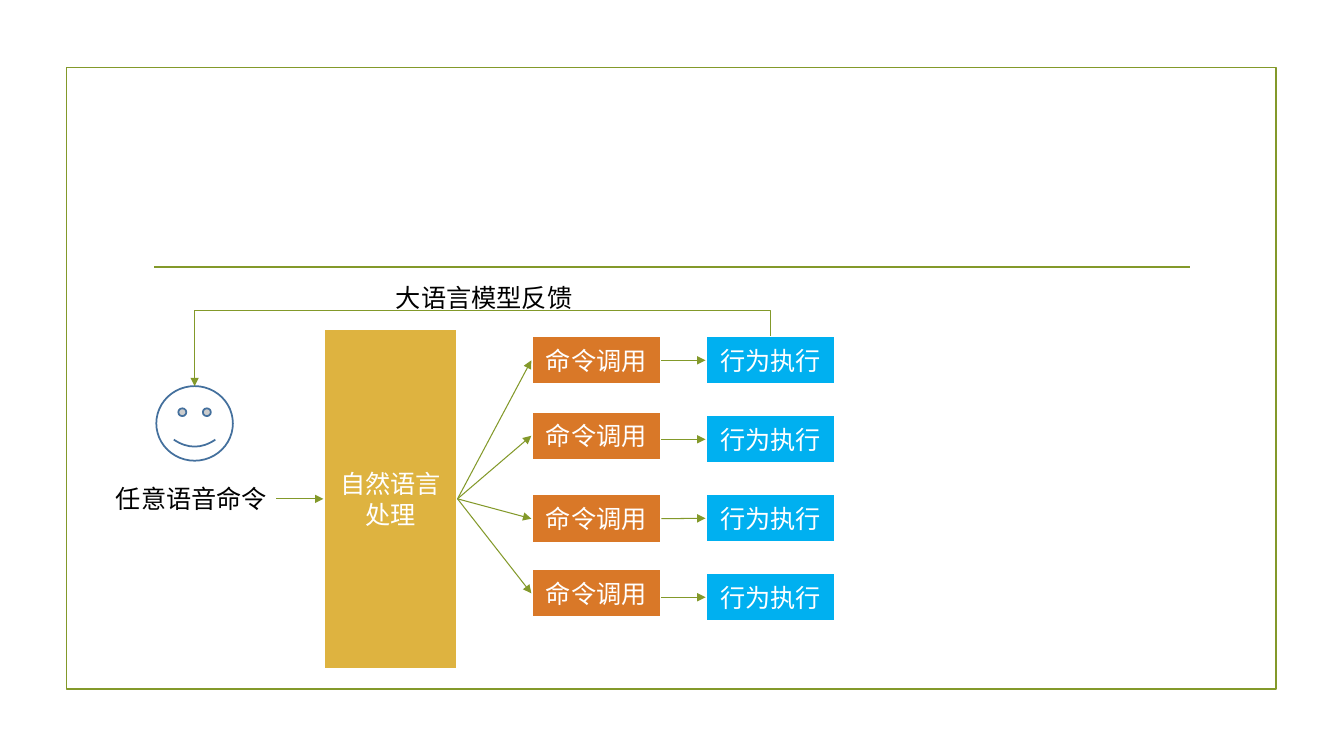
import pptx
import pptx.dml.color
import pptx.enum.shapes
import pptx.enum.text
import pptx.util
from pptx.oxml.ns import qn
from lxml import etree

Cm, Pt = pptx.util.Cm, pptx.util.Pt
KIND = pptx.enum.shapes.MSO_SHAPE
LINK = pptx.enum.shapes.MSO_CONNECTOR
ALIGN = pptx.enum.text.PP_ALIGN
FONT = "Times New Roman"
GREEN, GOLD, ORANGE, BLUE = "83992A", "DEB340", "D97828", "00B0F0"
WHITE, BLACK, NAVY = "FFFFFF", "000000", "44709D"
TOP, BOTTOM, LEFT, RIGHT = 0, 2, 1, 3

# Content: text, then left, top, width, height in centimetres
LABELS = [
    ("任意语音命令", (2.67, 12.06, 4.37, 1.02)),
    ("大语言模型反馈", (9.73, 6.98, 5, 1.02)),
]
PARSER = ("自然语言处理", (8.15, 8.28, 3.38, 8.58))
CALL, CALL_X, CALL_TOPS = "命令调用", 13.39, [8.46, 10.36, 12.45, 14.33]
ACT, ACT_X, ACT_TOP, ACT_STEP = "行为执行", 17.78, 8.46, 1.99
CELL_W, CELL_H = 3.28, 1.24
FRAME = (1.68, 1.7, 30.48, 15.67)
RULE = (3.89, 6.73, 30, 6.73)
FACE = (3.94, 9.73, 1.93, 1.88)
VOICE_X = 6.96
LOOP_Y = 7.82

deck = pptx.Presentation()
deck.slide_width, deck.slide_height = Cm(33.87), Cm(19.05)
slide = deck.slides.add_slide(deck.slide_layouts[6])


def color(code):
    return pptx.dml.color.RGBColor.from_string(code)


def write(shape, text, ink=BLACK, align=ALIGN.LEFT, wrap=True):
    frame = shape.text_frame
    frame.word_wrap = wrap
    par = frame.paragraphs[0]
    par.alignment = align
    run = par.add_run()
    run.text = text
    run.font.size, run.font.name = Pt(18), FONT
    run.font.color.rgb = color(ink)


def draw(kind, box, fill=None, line=WHITE, width=2, text=None):
    shape = slide.shapes.add_shape(kind, *map(Cm, box))
    shape.shadow.inherit = False
    if fill:
        shape.fill.solid()
        shape.fill.fore_color.rgb = color(fill)
    else:
        shape.fill.background()
    shape.line.color.rgb = color(line)
    shape.line.width = Pt(width)
    if text:
        shape.text_frame.vertical_anchor = pptx.enum.text.MSO_ANCHOR.MIDDLE
        write(shape, text, ink=WHITE, align=ALIGN.CENTER)
    return shape


def link(ends, kind=LINK.STRAIGHT, width=0.75, head=True):
    wire = slide.shapes.add_connector(kind, *map(Cm, ends))
    wire.line.color.rgb = color(GREEN)
    wire.line.width = Pt(width)
    if head:
        etree.SubElement(wire.line._ln, qn("a:tailEnd"), type="triangle")
    etree.SubElement(wire._element.spPr, qn("a:effectLst"))
    return wire


def loop(start, end, peak):
    """Draw an elbow that leaves start upwards, runs at peak and drops to end."""
    (x1, y1), (x2, y2) = start, end
    wide, tall = y2 - y1, x1 - x2
    left, top = (x1 + x2 - wide) / 2, (y1 + y2 - tall) / 2
    wire = link((left + wide, top + tall, left, top), kind=LINK.ELBOW)
    wire._element.spPr.find(qn("a:xfrm")).set("rot", str(270 * 60000))
    geom = wire._element.spPr.find(qn("a:prstGeom"))
    for old in list(geom):
        geom.remove(old)
    bend = round((peak - y1) / wide * 100000)
    guides = etree.SubElement(geom, qn("a:avLst"))
    etree.SubElement(guides, qn("a:gd"), name="adj1", fmla=f"val {bend}")


draw(KIND.RECTANGLE, FRAME, line=GREEN, width=1.25)
link(RULE, width=1.25, head=False)

name, box = PARSER
parser = draw(KIND.RECTANGLE, box, fill=GOLD, text=name)
mid = box[1] + box[3] / 2
voice = link((VOICE_X, mid, box[0], mid))
voice.end_connect(parser, LEFT)

for row, top in enumerate(CALL_TOPS):
    call = draw(KIND.RECTANGLE, (CALL_X, top, CELL_W, CELL_H),
                fill=ORANGE, text=CALL)
    ray = link((box[0] + box[2], mid, CALL_X, top + CELL_H / 2))
    ray.begin_connect(parser, RIGHT)
    ray.end_connect(call, LEFT)

    act_top = ACT_TOP + row * ACT_STEP
    act = draw(KIND.RECTANGLE, (ACT_X, act_top, CELL_W, CELL_H),
               fill=BLUE, text=ACT)
    y = act_top + CELL_H / 2
    step = link((CALL_X + CELL_W, y, ACT_X, y))
    if abs(act_top - top) < 0.05:
        step.begin_connect(call, RIGHT)
    step.end_connect(act, LEFT)

draw(KIND.SMILEY_FACE, FACE, fill=WHITE, line=NAVY, width=1.25)
loop((ACT_X + CELL_W / 2, ACT_TOP), (FACE[0] + FACE[2] / 2, FACE[1]), LOOP_Y)
for text, place in LABELS:
    write(slide.shapes.add_textbox(*map(Cm, place)), text, wrap=False)

deck.save("out.pptx")
